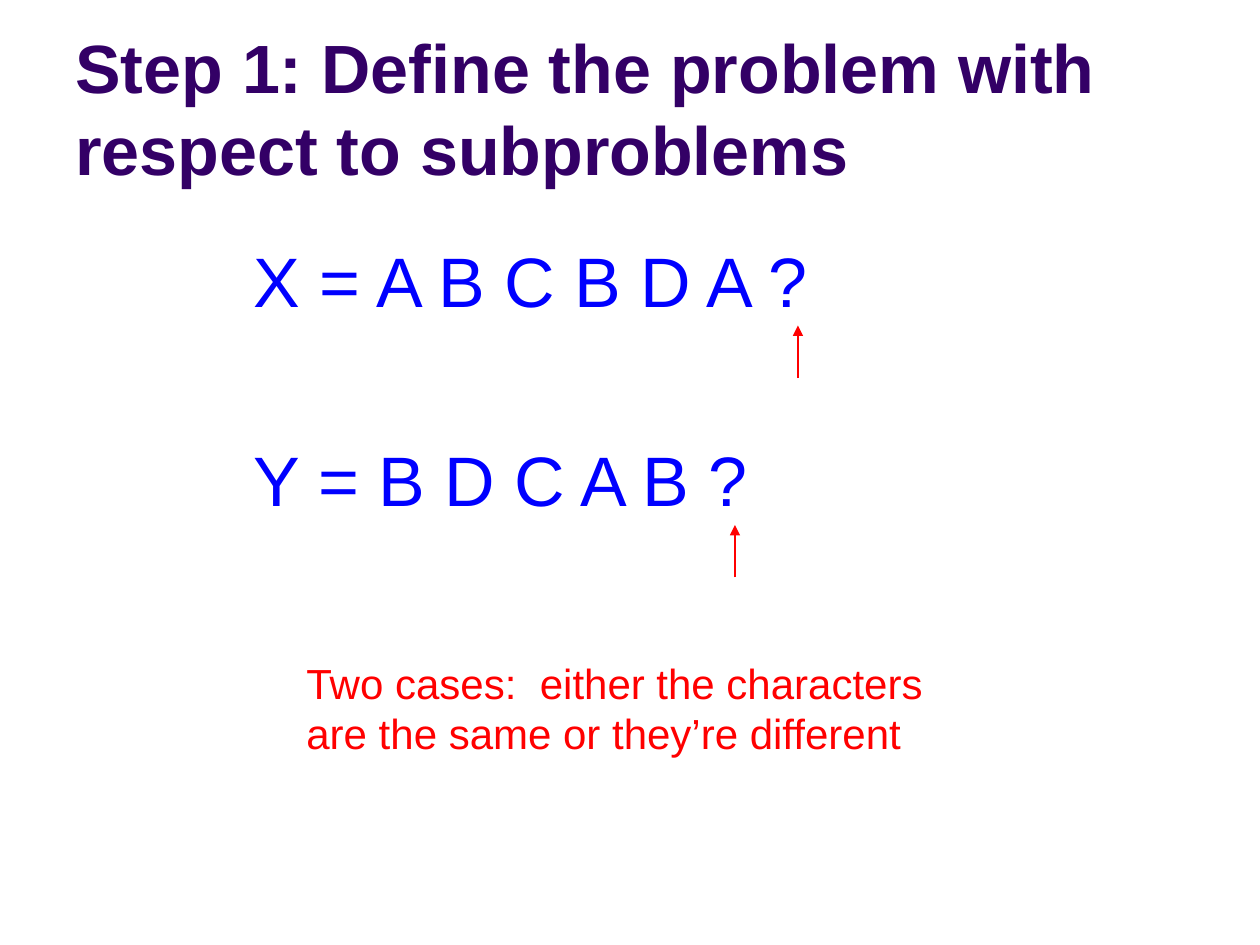
from lxml.etree import SubElement
from pptx import Presentation
from pptx.dml.color import RGBColor
from pptx.enum.shapes import MSO_CONNECTOR
from pptx.enum.text import MSO_ANCHOR
from pptx.oxml.ns import qn
from pptx.util import Inches, Pt

PURPLE = RGBColor(0x33, 0x00, 0x66)
BLUE = RGBColor(0x00, 0x00, 0xFF)
RED = RGBColor(0xFF, 0x00, 0x00)

# Grid of twelfths of an inch
COLS, ROWS = 120, 90


class Board:
    font = "Arial"

    def __init__(self, deck):
        self.slide = deck.slides.add_slide(deck.slide_layouts[6])
        self.col = deck.slide_width / COLS
        self.row = deck.slide_height / ROWS

    def place(self, x, y):
        return round(x * self.col), round(y * self.row)

    def text(self, words, x, y, wide, high, size, color,
             bold=False, anchor=MSO_ANCHOR.TOP, gap=0):
        box = self.slide.shapes.add_textbox(*self.place(x, y), *self.place(wide, high))
        frame = box.text_frame
        frame.word_wrap = True
        frame.vertical_anchor = anchor
        para = frame.paragraphs[0]
        para.text = words
        font = para.font
        font.name, font.size, font.bold = self.font, Pt(size), bold
        font.color.rgb = color
        if gap:  # space before, as percent of the line
            para.space_before = Pt(0)
            space = para._p.pPr.find(qn("a:spcBef"))
            space.remove(space[0])
            SubElement(space, qn("a:spcPct"), val=str(gap * 1000))

    def arrow(self, x, y, high):
        line = self.slide.shapes.add_connector(
            MSO_CONNECTOR.STRAIGHT, *self.place(x, y + high), *self.place(x, y))
        line.line.color.rgb = RED
        line.line.width = Pt(0.75)
        SubElement(line.line._get_or_add_ln(), qn("a:tailEnd"), type="triangle")
        SubElement(line._element.spPr, qn("a:effectLst"))


deck = Presentation()
deck.slide_width, deck.slide_height = Inches(10), Inches(7.5)
board = Board(deck)

# Title
board.text("Step 1: Define the problem with respect to subproblems",
           6, 1.56, 108, 17.04, 39, PURPLE, bold=True, anchor=MSO_ANCHOR.BOTTOM)

# Sequences, each with an arrow to its last character
for words, top, wide, tip in (
    ("X = A B C B D A ?", 22, 58, 76),
    ("Y = B D C A B ?", 41, 62, 70),
):
    board.text(words, 23, top, wide, 9.24, 40, BLUE, gap=50)
    board.arrow(tip, top + 9, 5)

# Cases
board.text("Two cases:  either the characters are the same or they’re different",
           28, 62, 64, 10.8, 24, RED, gap=50)

deck.save("out.pptx")
